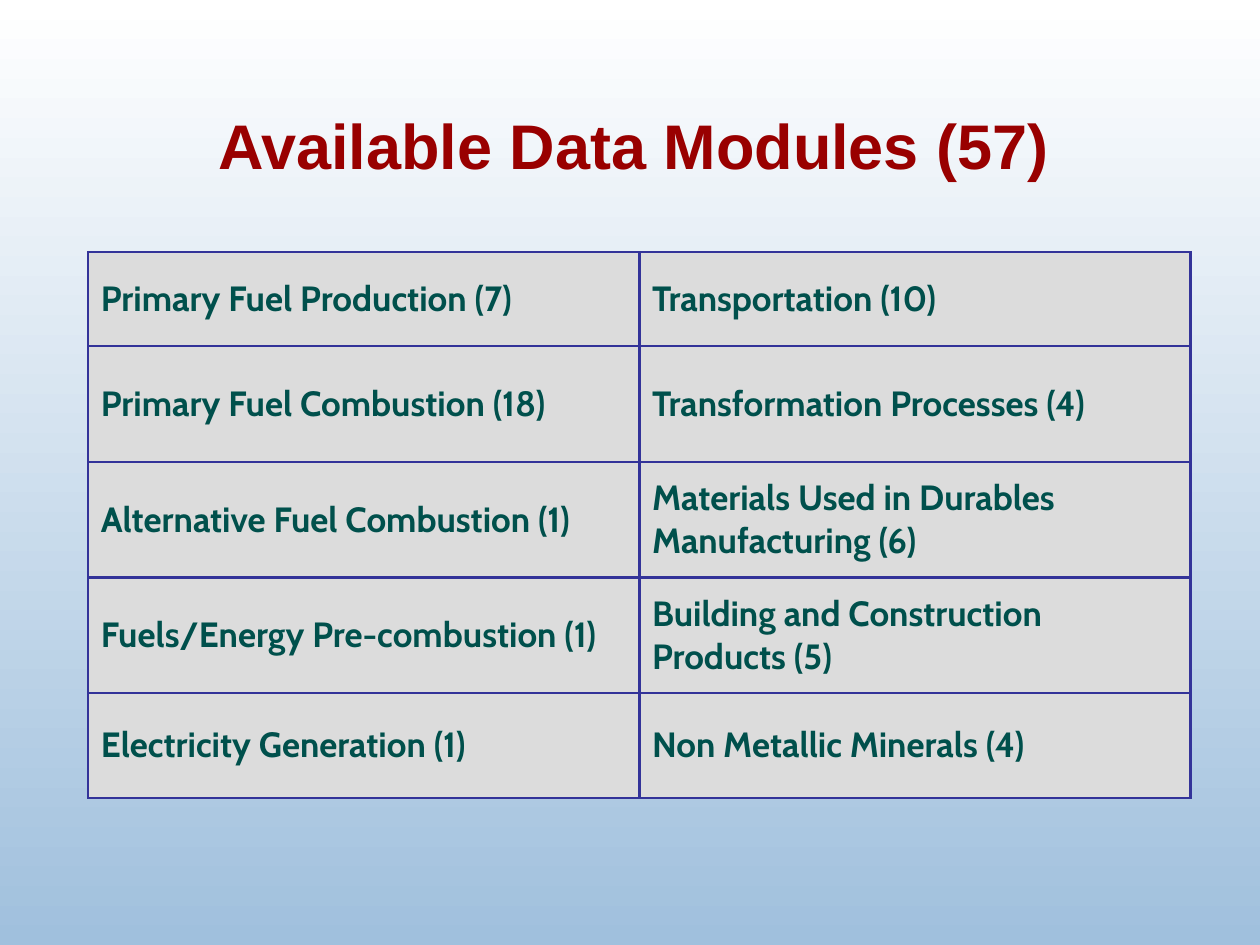
from lxml import etree
from pptx import Presentation
from pptx.dml.color import RGBColor
from pptx.enum.text import MSO_ANCHOR, PP_ALIGN
from pptx.oxml.ns import qn
from pptx.util import Cm, Pt

MIDDLE = MSO_ANCHOR.MIDDLE
CENTER = PP_ALIGN.CENTER
LEFT = PP_ALIGN.LEFT

TITLE = "Available Data Modules (57)"
MODULES = [
    ("Primary Fuel Production (7)", "Transportation (10)"),
    ("Primary Fuel Combustion (18)", "Transformation Processes (4)"),
    ("Alternative Fuel Combustion (1)", "Materials Used in Durables Manufacturing (6)"),
    ("Fuels/Energy Pre-combustion (1)", "Building and Construction Products (5)"),
    ("Electricity Generation (1)", "Non Metallic Minerals (4)"),
]
ROW_HEIGHTS = [1.9, 2.33, 2.33, 2.33, 2.11]
COLUMN_WIDTH = 11.11

THEME = {
    "background": ("FFFFFF", "A0C0DD"),
    "cell": "DCDCDC",
    "border": "333399",
    "border_width": 1.47,
    "title": {"name": "Arial", "size": Pt(36), "bold": True, "color": "990000"},
    "module": {"name": "Cabin", "size": Pt(20), "bold": True, "color": "00504C"},
}


def write_text(frame, text, style, alignment):
    frame.word_wrap = True
    para = frame.paragraphs[0]
    para.alignment = alignment
    span = para.add_run()
    span.text = text
    for name, value in style.items():
        if name == "color":
            span.font.color.rgb = RGBColor.from_string(value)
        else:
            setattr(span.font, name, value)


def add_borders(cell):
    properties = cell._tc.get_or_add_tcPr()
    for side in ("lnL", "lnR", "lnT", "lnB"):
        line = etree.SubElement(properties, qn(f"a:{side}"), w=str(Pt(THEME["border_width"])))
        fill = etree.SubElement(line, qn("a:solidFill"))
        etree.SubElement(fill, qn("a:srgbClr"), val=THEME["border"])


def paint_background(page):
    fill = page.background.fill
    fill.gradient()
    fill.gradient_angle = 270
    for stop, color in zip(fill.gradient_stops, THEME["background"]):
        stop.color.rgb = RGBColor.from_string(color)


def add_title(page):
    box = page.shapes.add_textbox(Cm(1.98), Cm(1.32), Cm(21.59), Cm(3.18))
    box.text_frame.vertical_anchor = MIDDLE
    write_text(box.text_frame, TITLE, THEME["title"], CENTER)


def add_modules(page):
    column_count = len(MODULES[0])
    table = page.shapes.add_table(
        len(MODULES), column_count, Cm(1.78), Cm(5.08),
        Cm(COLUMN_WIDTH * column_count), Cm(sum(ROW_HEIGHTS)),
    ).table
    table.first_row = table.horz_banding = False
    for column in table.columns:
        column.width = Cm(COLUMN_WIDTH)
    for row, height, names in zip(table.rows, ROW_HEIGHTS, MODULES):
        row.height = Cm(height)
        for cell, name in zip(row.cells, names):
            add_borders(cell)
            cell.fill.solid()
            cell.fill.fore_color.rgb = RGBColor.from_string(THEME["cell"])
            cell.vertical_anchor = MIDDLE
            write_text(cell.text_frame, name, THEME["module"], LEFT)


def main():
    deck = Presentation()
    deck.slide_width, deck.slide_height = Cm(25.4), Cm(19.05)
    page = deck.slides.add_slide(deck.slide_layouts[6])
    paint_background(page)
    add_title(page)
    add_modules(page)
    deck.save("out.pptx")


if __name__ == "__main__":
    main()
